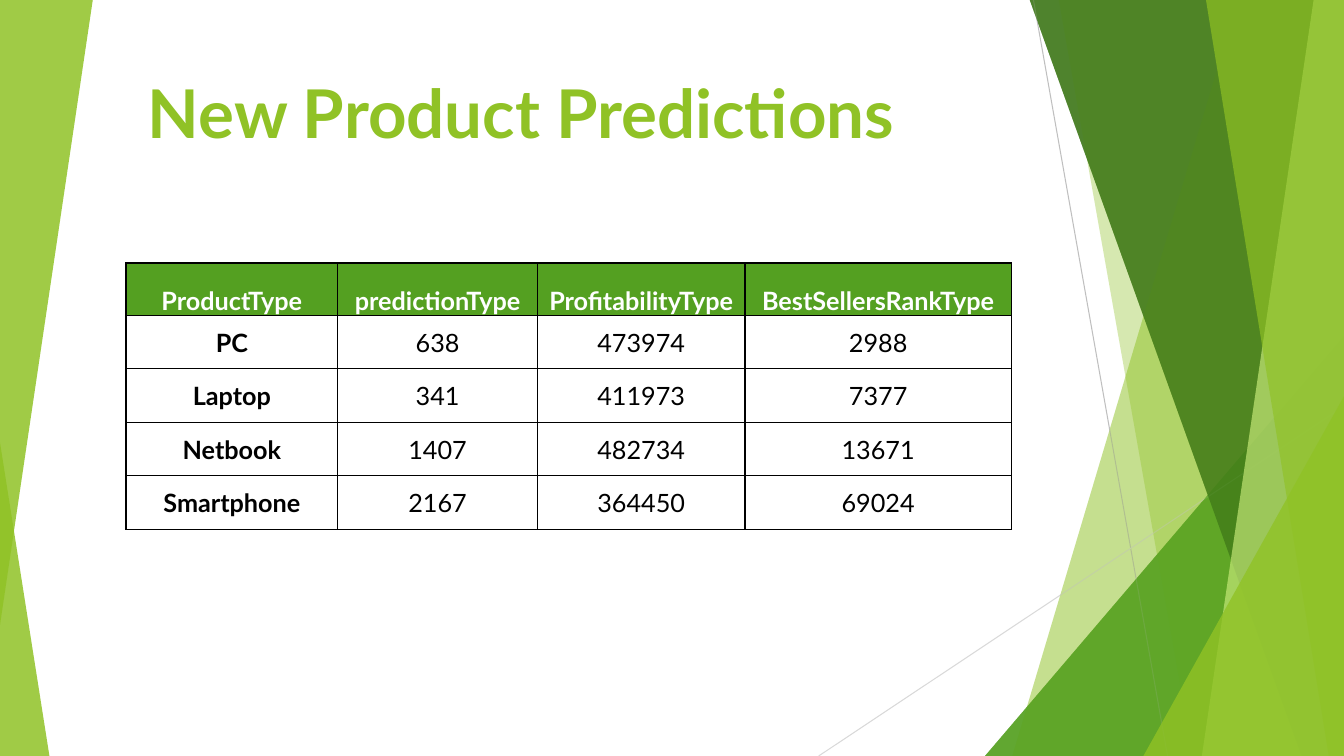
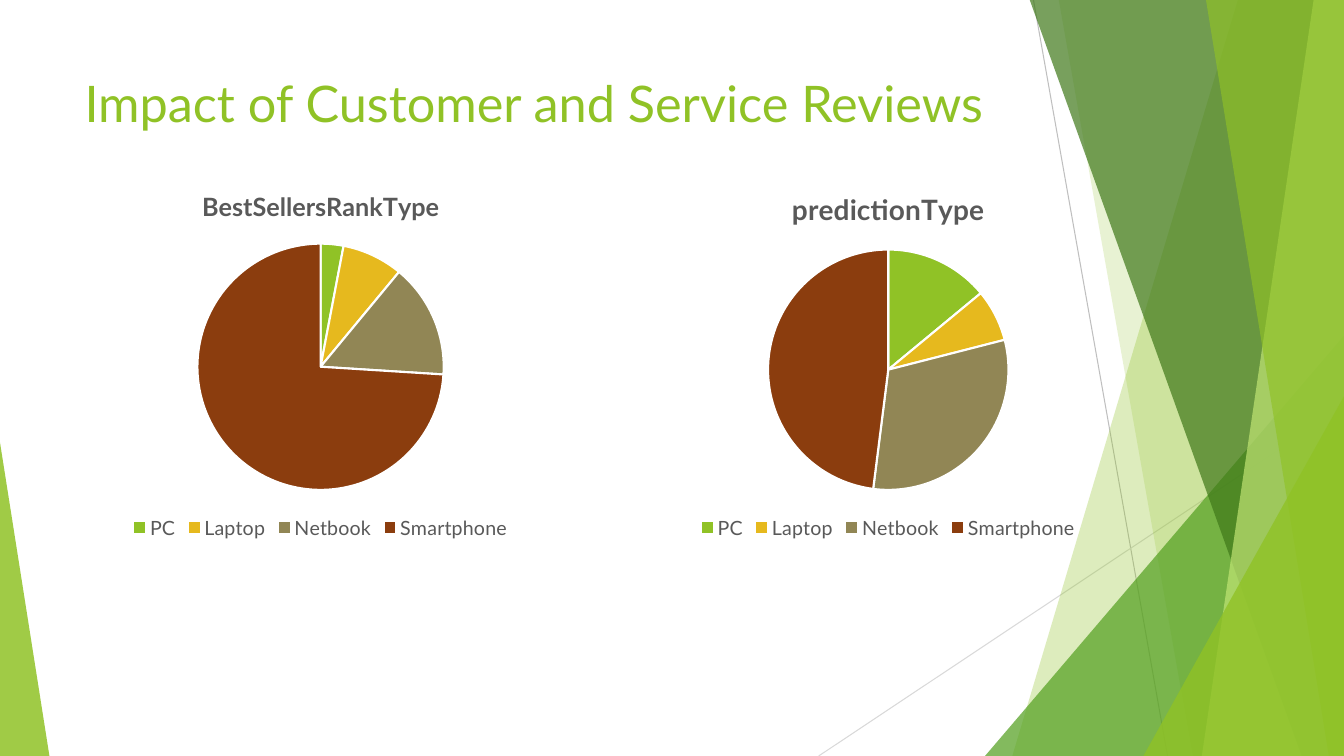
import pptx
import pptx.util
import pptx.dml.color
import pptx.chart.data
import pptx.enum.chart
import pptx.enum.shapes
import pptx.enum.text
import pptx.oxml
import pptx.oxml.ns
from lxml import etree

Inches, Pt = pptx.util.Inches, pptx.util.Pt
PP_ALIGN, ANCHOR = pptx.enum.text.PP_ALIGN, pptx.enum.text.MSO_ANCHOR
qn = pptx.oxml.ns.qn

# Content
TABLE_TITLE = "New Product Predictions"
TABLE_ROWS = [
    ("ProductType", "predictionType", "ProfitabilityType", "BestSellersRankType"),
    ("PC", "638", "473974", "2988"),
    ("Laptop", "341", "411973", "7377"),
    ("Netbook", "1407", "482734", "13671"),
    ("Smartphone", "2167", "364450", "69024"),
]
COL_WIDTHS = (2.1, 1.98, 2.06, 2.64)
ROW_HEIGHTS = (0.52, 0.53, 0.53, 0.53, 0.53)

PIE_TITLE = "Impact of Customer and Service Reviews"
PRODUCTS = ("PC", "Laptop", "Netbook", "Smartphone")
PRODUCT_ROWS = (0, 2, 5, 9)  # rows of the data sheet that hold a product
SHEET_ROWS = 13
PIES = [  # name, values, title size, left, width
    ("BestSellersRankType", (3, 8, 15, 74), 18, 0.35, 5.66),
    ("predictionType", (14, 7, 31, 48), 20, 5.8, 6.02),
]

# Shared theme
W, H, TOP = 13.33, 7.5, -0.01
FONT = "Lato"
LIME, GREEN, DARK, PALE = "90C226", "54A021", "3F7819", "C0E474"
GREY, BLACK, WHITE = "595959", "000000", "FFFFFF"
PIE_COLORS = (LIME, "E6B91E", "918655", "8B3D0E")

# Facets: colour, opacity in percent, outline.
# A band is (top x, bottom x) and reaches the right edge;
# a triangle is (left, top, width, height, apex, rotation).
RIGHT_FACETS = [
    (LIME, 30, (12.28, 10.04)),
    (LIME, 20, (10.5, 11.83)),
    (GREEN, 72, (9.77, 3.33, 3.56, 4.17, 1, 0)),
    (DARK, 70, (10.21, 12.91)),
    (PALE, 70, (13.03, 11.92)),
    (LIME, 65, (11.96, 13.18)),
    (LIME, 80, (11.34, 3.93, 1.99, 3.57, 1, 0)),
]
LOWER_LEFT = (LIME, 85, (0, 4.39, 0.49, 3.11, 0, 0))
UPPER_LEFT = (LIME, 85, (0, 0, 0.92, 6.2, 1, 180))
RAYS = [("BFBFBF", 10.25, 0, 11.58, H), ("D9D9D9", W, 4.03, 8.12, H)]


def rgb(color):
    return pptx.dml.color.RGBColor.from_string(color)


def style(font, size, color, bold=False):
    font.name, font.size, font.bold = FONT, Pt(size), bold
    font.color.rgb = rgb(color)


def add_facet(s, color, opacity, outline):
    if len(outline) == 2:
        top_x, bottom_x = outline
        corners = [(W, TOP), (W, H), (bottom_x, H)]
        fb = s.shapes.build_freeform(Inches(top_x), Inches(TOP), scale=1.0)
        fb.add_line_segments([(Inches(x), Inches(y)) for x, y in corners])
        sp = fb.convert_to_shape()
    else:
        *box, apex, rotation = outline
        sp = s.shapes.add_shape(pptx.enum.shapes.MSO_SHAPE.ISOSCELES_TRIANGLE,
                                *map(Inches, box))
        sp.adjustments[0] = apex
        sp.rotation = rotation
    sp.shadow.inherit = False
    sp.line.fill.background()
    sp.fill.solid()
    sp.fill.fore_color.rgb = rgb(color)
    clr = sp.fill._xPr.find(qn("a:solidFill"))[0]
    etree.SubElement(clr, qn("a:alpha")).set("val", str(opacity * 1000))


def add_facets(s, left_facet):
    for facet in RIGHT_FACETS + [left_facet]:
        add_facet(s, *facet)


def add_rays(s):
    for color, *ends in RAYS:
        line = s.shapes.add_connector(pptx.enum.shapes.MSO_CONNECTOR.STRAIGHT,
                                      *map(Inches, ends))
        line.line.color.rgb = rgb(color)
        line.line.width = Pt(0.75)
        etree.SubElement(line._element.spPr, qn("a:effectLst"))


def add_title(s, text, box, size, bold, align, anchor):
    tf = s.shapes.add_textbox(*map(Inches, box)).text_frame
    tf.word_wrap = True
    tf.vertical_anchor = anchor
    p = tf.paragraphs[0]
    p.text, p.alignment = text, align
    style(p.font, size, LIME, bold)


def add_borders(cell):
    tcPr = cell._tc.get_or_add_tcPr()
    for i, side in enumerate(("a:lnL", "a:lnR", "a:lnT", "a:lnB")):
        ln = etree.Element(qn(side), w=str(Pt(1)))
        fill = etree.SubElement(ln, qn("a:solidFill"))
        etree.SubElement(fill, qn("a:srgbClr")).set("val", BLACK)
        tcPr.insert(i, ln)


def add_prediction_table(s, left, top):
    table = s.shapes.add_table(
        len(TABLE_ROWS), len(COL_WIDTHS), Inches(left), Inches(top),
        Inches(sum(COL_WIDTHS)), Inches(sum(ROW_HEIGHTS))).table
    table.horz_banding = False
    for col, width in zip(table.columns, COL_WIDTHS):
        col.width = Inches(width)
    for r, (row, height) in enumerate(zip(TABLE_ROWS, ROW_HEIGHTS)):
        table.rows[r].height = Inches(height)
        header = r == 0
        for c, text in enumerate(row):
            cell = table.cell(r, c)
            cell.margin_left = cell.margin_right = cell.margin_top = Inches(0.01)
            cell.margin_bottom = 0
            cell.vertical_anchor = ANCHOR.BOTTOM if header else ANCHOR.MIDDLE
            if header:
                cell.fill.solid()
                cell.fill.fore_color.rgb = rgb(GREEN)
            else:
                cell.fill.background()
            add_borders(cell)
            p = cell.text_frame.paragraphs[0]
            p.text, p.alignment = text, PP_ALIGN.CENTER
            style(p.font, 18, WHITE if header else BLACK, header or c == 0)


def hide_empty_entries(legend):
    position = legend._element.find(qn("c:legendPos"))
    for row in range(SHEET_ROWS):
        if row not in PRODUCT_ROWS:
            entry = etree.Element(qn("c:legendEntry"))
            etree.SubElement(entry, qn("c:idx")).set("val", str(row))
            etree.SubElement(entry, qn("c:delete")).set("val", "1")
            position.getparent().insert(
                len(position.getparent().findall(qn("c:legendEntry"))) + 1, entry)


def add_pie(s, name, values, title_size, left, width):
    labels = dict(zip(PRODUCT_ROWS, PRODUCTS))
    shares = dict(zip(PRODUCT_ROWS, values))
    data = pptx.chart.data.CategoryChartData()
    data.categories = [labels.get(i, "") for i in range(PRODUCT_ROWS[-1] + 1)]
    data.add_series(name, [shares.get(i) for i in range(SHEET_ROWS)])
    chart = s.shapes.add_chart(
        pptx.enum.chart.XL_CHART_TYPE.PIE, Inches(left), Inches(1.7),
        Inches(width), Inches(3.69), data).chart
    style(chart.font, 10, BLACK)
    chart.has_title = True
    p = chart.chart_title.text_frame.paragraphs[0]
    p.text = name
    style(p.font, title_size, GREY, True)
    chart.chart_title.include_in_layout = False
    chart.has_legend = True
    chart.legend.position = pptx.enum.chart.XL_LEGEND_POSITION.BOTTOM
    chart.legend.include_in_layout = False
    style(chart.legend.font, 14, GREY)
    hide_empty_entries(chart.legend)
    plot = chart.plots[0]
    plot.vary_by_categories = True
    for row, color in zip(PRODUCT_ROWS, PIE_COLORS):
        slice_format = plot.series[0].points[row].format
        slice_format.fill.solid()
        slice_format.fill.fore_color.rgb = rgb(color)
        slice_format.line.color.rgb = rgb(WHITE)
        slice_format.line.width = Pt(1.5)


prs = pptx.Presentation()
prs.slide_width, prs.slide_height = Inches(W), Inches(H)
blank = prs.slide_layouts[6]

# Slide 1: predictions table over a double layer of facets
s = prs.slides.add_slide(blank)
add_facets(s, LOWER_LEFT)
add_rays(s)
add_facets(s, UPPER_LEFT)
add_title(s, TABLE_TITLE, (0.64, 0.36, 9.06, 1.2), 48, True,
          PP_ALIGN.CENTER, ANCHOR.BOTTOM)
add_prediction_table(s, 1.25, 2.61)

# Slide 2: two pies
s = prs.slides.add_slide(blank)
add_rays(s)
add_facets(s, LOWER_LEFT)
add_title(s, PIE_TITLE, (0.74, 0.67, 9.4, 1.44), 36, False,
          PP_ALIGN.LEFT, ANCHOR.TOP)
for pie in PIES:
    add_pie(s, *pie)

prs.save("out.pptx")
